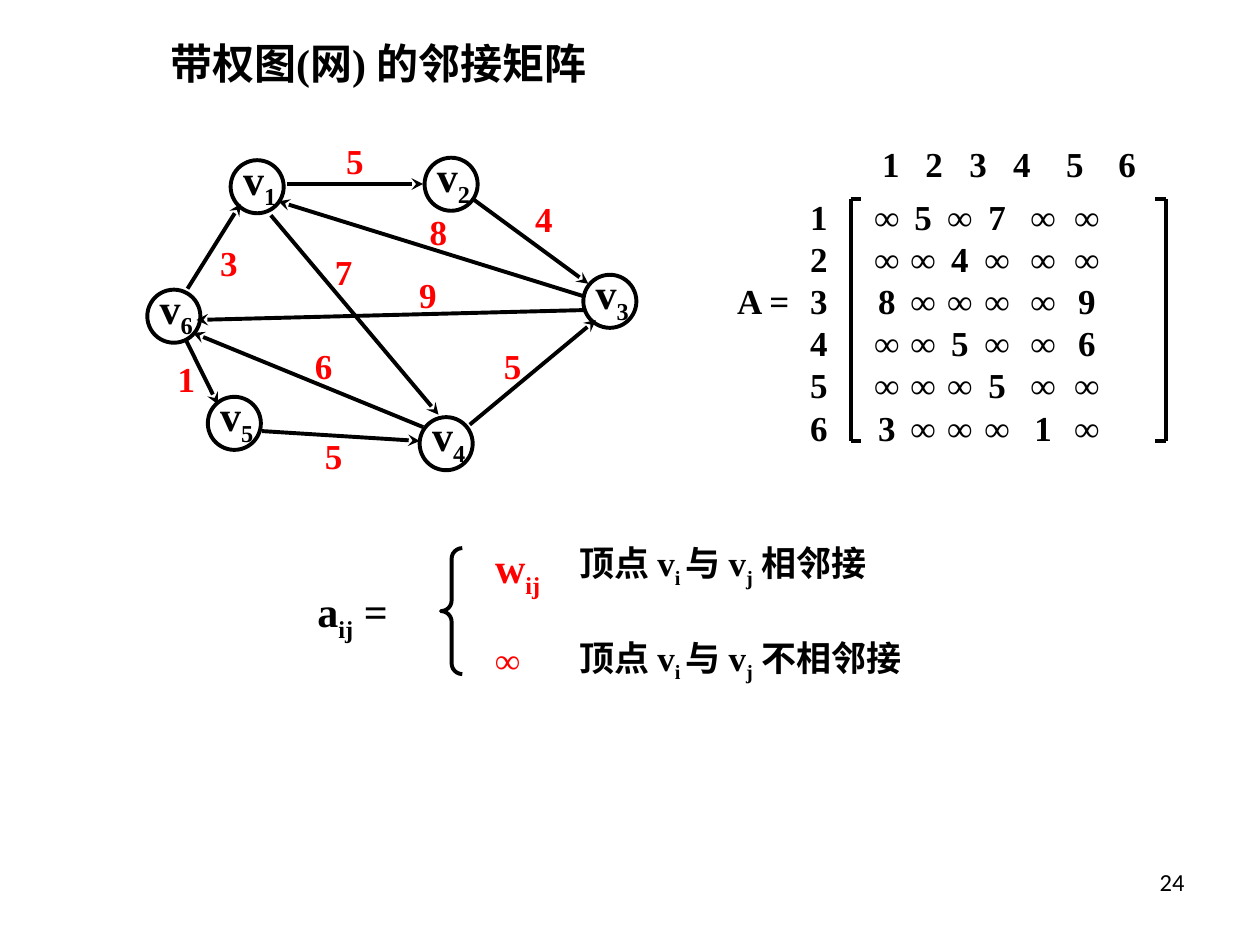
from lxml import etree
from pptx import Presentation
from pptx.dml.color import RGBColor
from pptx.enum.shapes import MSO_CONNECTOR, MSO_SHAPE
from pptx.enum.text import MSO_AUTO_SIZE, PP_ALIGN
from pptx.oxml.ns import qn
from pptx.util import Cm, Pt

LINE = MSO_CONNECTOR.STRAIGHT
OVAL = MSO_SHAPE.OVAL
LEFT_BRACE = MSO_SHAPE.LEFT_BRACE
GROW = MSO_AUTO_SIZE.SHAPE_TO_FIT_TEXT
RIGHT = PP_ALIGN.RIGHT

BLACK = RGBColor(0x00, 0x00, 0x00)
RED = RGBColor(0xFF, 0x00, 0x00)
SERIF = "Times New Roman"
STROKE = Pt(2.25)

VERTEX_SIZE = 1.07
VERTICES = [  # left, top of v1 to v6
    (4.65, 3.23), (8.56, 3.18), (11.76, 5.54),
    (8.46, 8.41), (4.19, 8.0), (2.97, 5.84),
]
EDGES = [  # start, end, weight, left and top of the weight
    ((5.79, 3.71), (8.53, 3.71), "5", (6.73, 2.69)),
    ((9.53, 4.01), (11.86, 5.72), "4", (10.54, 3.86)),
    ((11.76, 5.97), (5.61, 4.06), "8", (8.41, 4.11)),
    ((3.78, 5.82), (4.85, 4.11), "3", (4.19, 4.75)),
    ((3.76, 6.88), (4.39, 8.15), "1", (3.33, 7.09)),
    ((5.28, 8.69), (8.46, 8.89), "5", (6.3, 8.64)),
    ((11.81, 6.25), (3.96, 6.45), "9", (8.2, 5.38)),
    ((8.53, 8.61), (3.89, 6.71), "6", (6.1, 6.83)),
    ((9.47, 8.56), (12.01, 6.45), "5", (9.91, 6.83)),
    ((5.46, 4.34), (8.84, 8.36), "7", (6.5, 4.93)),
]
MATRIX = [
    "∞ 5 ∞ 7 ∞ ∞",
    "∞ ∞ 4 ∞ ∞ ∞",
    "8 ∞ ∞ ∞ ∞ 9",
    "∞ ∞ 5 ∞ ∞ 6",
    "∞ ∞ ∞ 5 ∞ ∞",
    "3 ∞ ∞ ∞ 1 ∞",
]
HEADER_STOPS = (0.36, 1.23, 2.12, 3.0, 4.07, 5.12)
ROW_STOPS = (0.28, 1.01, 1.75, 2.5, 3.43, 4.31)


def add_text(shapes, left, top, width, height, *runs, size=20, color=BLACK,
             font=SERIF, bold=True, align=None, stops=()):
    """Add one line of text; every second run is a subscript."""
    tb = shapes.add_textbox(Cm(left), Cm(top), Cm(width), Cm(height))
    tf = tb.text_frame
    tf.word_wrap = True
    tf.auto_size = GROW
    p = tf.paragraphs[0]
    if stops:
        tabs = etree.SubElement(p._p.get_or_add_pPr(), qn("a:tabLst"))
        for stop in stops:
            etree.SubElement(tabs, qn("a:tab"), pos=str(Cm(stop)), algn="ctr")
    if align is not None:
        p.alignment = align
    p.font.size = Pt(size)
    p.font.bold = bold
    p.font.name = font
    p.font.color.rgb = color
    for i, text in enumerate(runs):
        r = p.add_run()
        r.text = text
        if i % 2:
            r._r.get_or_add_rPr().set("baseline", "-25000")


def add_line(shapes, start, end, arrow=False):
    line = shapes.add_connector(LINE, *(Cm(v) for v in (*start, *end)))
    line.line.color.rgb = BLACK
    line.line.width = STROKE
    if arrow:
        etree.SubElement(line.line._get_or_add_ln(), qn("a:tailEnd"), type="stealth")
    etree.SubElement(line._element.spPr, qn("a:effectLst"))


def add_outline(shapes, kind, left, top, width, height):
    """Add an unfilled preset shape."""
    sp = shapes.add_shape(kind, Cm(left), Cm(top), Cm(width), Cm(height))
    sp.shadow.inherit = False
    sp.fill.background()
    sp.line.color.rgb = BLACK
    sp.line.width = STROKE
    return sp


def add_spread(shapes, top, text, stops):
    """Add a line of matrix entries, each centred on its tab stop."""
    entries = "".join("\t" + entry for entry in text.split())
    add_text(shapes, 17.35, top, 6.99, 1.12, entries, stops=stops)


def add_graph(shapes):
    for number, (left, top) in enumerate(VERTICES, 1):
        add_outline(shapes, OVAL, left, top, VERTEX_SIZE, VERTEX_SIZE)
        add_text(shapes, left, top - 0.27, 1.9, 1.42, "v", str(number), size=24)
    for start, end, weight, place in EDGES:
        add_line(shapes, start, end, arrow=True)
        add_text(shapes, *place, 1.07, 1.12, weight, color=RED)


def add_matrix(shapes):
    add_text(shapes, 14.61, 5.51, 4.45, 1.12, "A =")
    add_spread(shapes, 2.74, "1 2 3 4 5 6", HEADER_STOPS)
    for i, row in enumerate(MATRIX):
        top = 3.81 + 0.85 * i
        add_text(shapes, 16.08, top, 0.84, 1.12, str(i + 1))
        add_spread(shapes, top, row, ROW_STOPS)
    top, bottom = 4.01, 8.89
    for x, tip in ((17.15, 17.36), (23.5, 23.29)):
        add_line(shapes, (x, top), (x, bottom))
        for y in (top, bottom):
            add_line(shapes, (x, y), (tip, y))


def add_definition(shapes):
    add_text(shapes, 6.15, 11.68, 4.65, 1.42, "a", "ij", " =", size=24)
    brace = add_outline(shapes, LEFT_BRACE, 8.89, 11.05, 0.43, 2.54)
    brace.adjustments[0] = 0.5
    add_text(shapes, 9.73, 10.8, 2.34, 1.42, "w", "ij", size=24, color=RED)
    add_text(shapes, 9.73, 12.75, 1.47, 1.12, "∞", color=RED)
    for top, relation in ((10.8, "相邻接"), (12.7, "不相邻接")):
        add_text(shapes, 11.43, top, 12.07, 1.22,
                 "顶点 v", "i ", "与 v", "j", " " + relation)


def main():
    prs = Presentation()
    prs.slide_width, prs.slide_height = Cm(25.4), Cm(19.05)
    s = prs.slides.add_slide(prs.slide_layouts[6])
    add_text(s.shapes, 3.18, 0.64, 15.67, 1.27, "带权图(网) 的邻接矩阵", size=24)
    for add_part in (add_graph, add_definition, add_matrix):
        add_part(s.shapes.add_group_shape().shapes)
    add_text(s.shapes, 18.21, 17.35, 5.92, 1.32, "24", size=14,
             font="Calibri", bold=False, align=RIGHT)
    prs.save("out.pptx")


if __name__ == "__main__":
    main()
